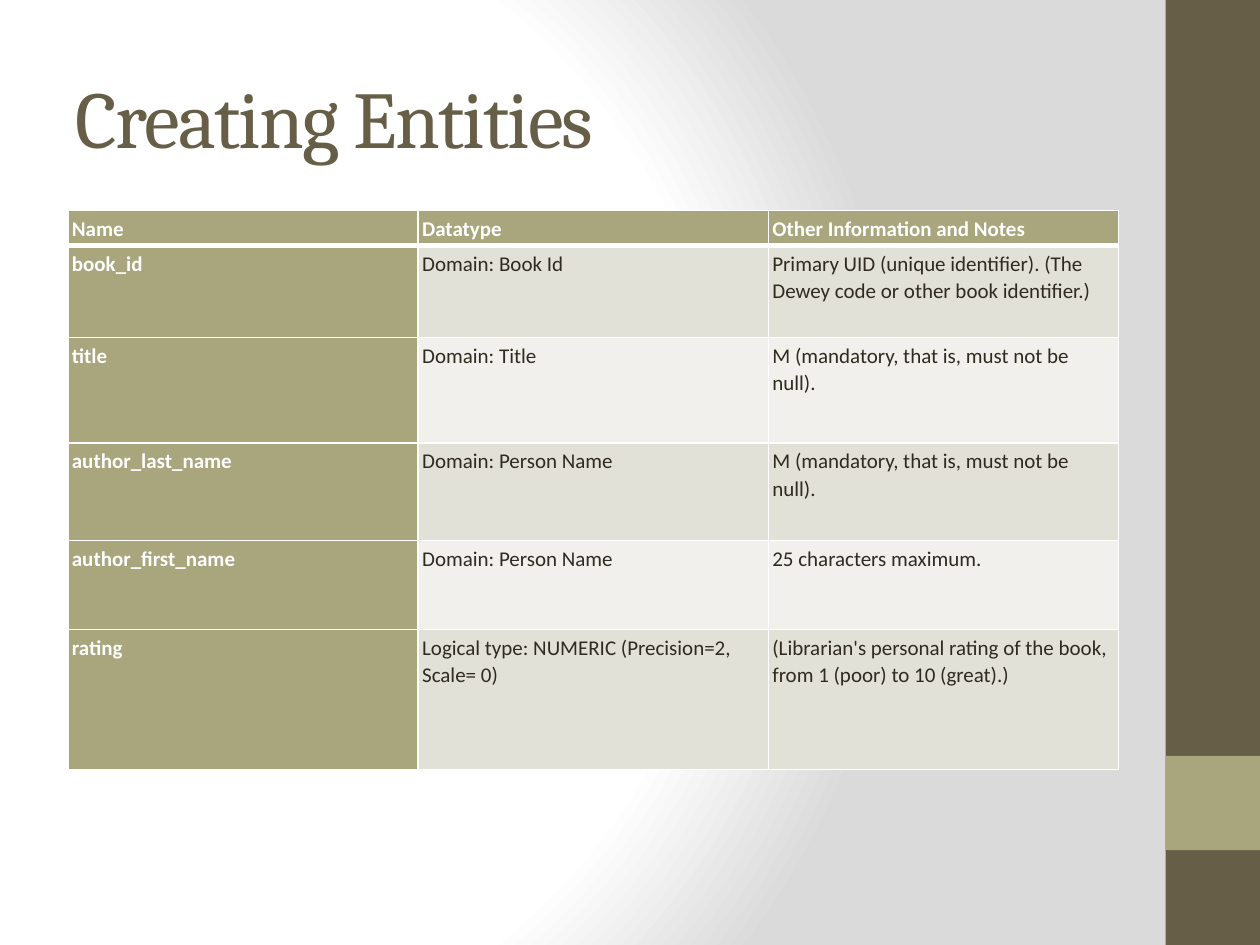
"""Build the "Creating Entities" slide: a title, an entity table and a side band."""
from pptx import Presentation
from pptx import util as u
from pptx.dml.color import RGBColor
from pptx.enum import shapes, text
from pptx.oxml import parse_xml
from pptx.oxml.ns import nsdecls

BROWN, OLIVE, WHITE, INK = "675E47", "A9A57C", "FFFFFF", "2F2B20"
BANDS = ["E2E1D7", "F1F0EC"]


def rgb(value):
    return RGBColor.from_string(value)


def border(side, points):
    return parse_xml(
        f'<a:{side} {nsdecls("a")} w="{u.Pt(points)}"><a:solidFill>'
        f'<a:srgbClr val="{WHITE}"/></a:solidFill></a:{side}>')


prs = Presentation()
prs.slide_width, prs.slide_height = u.Cm(25.4), u.Cm(19.05)
s = prs.slides.add_slide(prs.slide_layouts[5])

stops = "".join(
    f'<a:gs pos="{pos * 1000}"><a:srgbClr val="{color}"/></a:gs>'
    for pos, color in [(0, WHITE), (75, WHITE), (100, "DADADA")])
s.element.cSld.insert(0, parse_xml(
    f'<p:bg {nsdecls("p", "a")}><p:bgPr><a:gradFill rotWithShape="1">'
    f'<a:gsLst>{stops}</a:gsLst><a:path path="circle">'
    '<a:fillToRect l="20000" t="50000" r="100000" b="50000"/></a:path>'
    '</a:gradFill><a:effectLst/></p:bgPr></p:bg>'))

for top, height, color in [(0, 19.05, BROWN), (15.24, 1.9, OLIVE)]:
    sp = s.shapes.add_shape(shapes.MSO_SHAPE.RECTANGLE, u.Cm(23.5), u.Cm(top),
                            u.Cm(1.9), u.Cm(height))
    sp.shadow.inherit = False
    sp.fill.solid()
    sp.fill.fore_color.rgb = rgb(color)
    sp.line.fill.background()

title = s.shapes.title
title.left, title.top = u.Cm(1.27), u.Cm(0.76)
title.width, title.height = u.Cm(21.16), u.Cm(3.18)
tf = title.text_frame
tf.text = "Creating Entities"
tf.auto_size = text.MSO_AUTO_SIZE.NONE
tf.vertical_anchor = text.MSO_ANCHOR.MIDDLE
p = tf.paragraphs[0]
p.alignment = text.PP_ALIGN.LEFT
r = p.runs[0]
r.font.size, r.font.name = u.Pt(46), "Cambria"
r.font.color.rgb = rgb(BROWN)
r.font._element.set("spc", "-100")

rows = [
    (0.7, "Name", "Datatype", "Other Information and Notes"),
    (1.85, "book_id", "Domain: Book Id",
     "Primary UID (unique identifier). (The Dewey code or other book identifier.)"),
    (2.13, "title", "Domain: Title", "M (mandatory, that is, must not be null)."),
    (1.96, "author_last_name", "Domain: Person Name",
     "M (mandatory, that is, must not be null)."),
    (1.8, "author_first_name", "Domain: Person Name", "25 characters maximum."),
    (2.82, "rating", "Logical type: NUMERIC (Precision=2, Scale= 0)",
     "(Librarian's personal rating of the book, from 1 (poor) to 10 (great).)"),
]
table = s.shapes.add_table(len(rows), 3, u.Cm(1.37), u.Cm(4.24), u.Cm(21.18),
                           u.Cm(sum(row[0] for row in rows))).table
table.first_col = True
for column in table.columns:
    column.width = u.Cm(7.06)

for i, (height, *entries) in enumerate(rows):
    table.rows[i].height = u.Cm(height)
    for j, entry in enumerate(entries):
        heading = i == 0 or j == 0
        cell = table.cell(i, j)
        cell.margin_left = cell.margin_right = u.Cm(0.08)
        cell.margin_top = cell.margin_bottom = u.Cm(0.08)
        cell.vertical_anchor = text.MSO_ANCHOR.TOP if i else text.MSO_ANCHOR.BOTTOM
        tcPr = cell._tc.get_or_add_tcPr()
        for side, points in [("lnL", 1), ("lnR", 1), ("lnT", 3 if i == 1 else 1),
                             ("lnB", 3 if i == 0 else 1)]:
            tcPr.append(border(side, points))
        cell.fill.solid()
        cell.fill.fore_color.rgb = rgb(OLIVE if heading else BANDS[(i - 1) % 2])
        cell.text_frame.text = entry
        p = cell.text_frame.paragraphs[0]
        p.line_spacing = 1.07
        r = p.runs[0]
        r.font.size, r.font.name, r.font.bold = u.Pt(12), "Calibri", heading
        r.font.color.rgb = rgb(WHITE if heading else INK)

prs.save("out.pptx")
